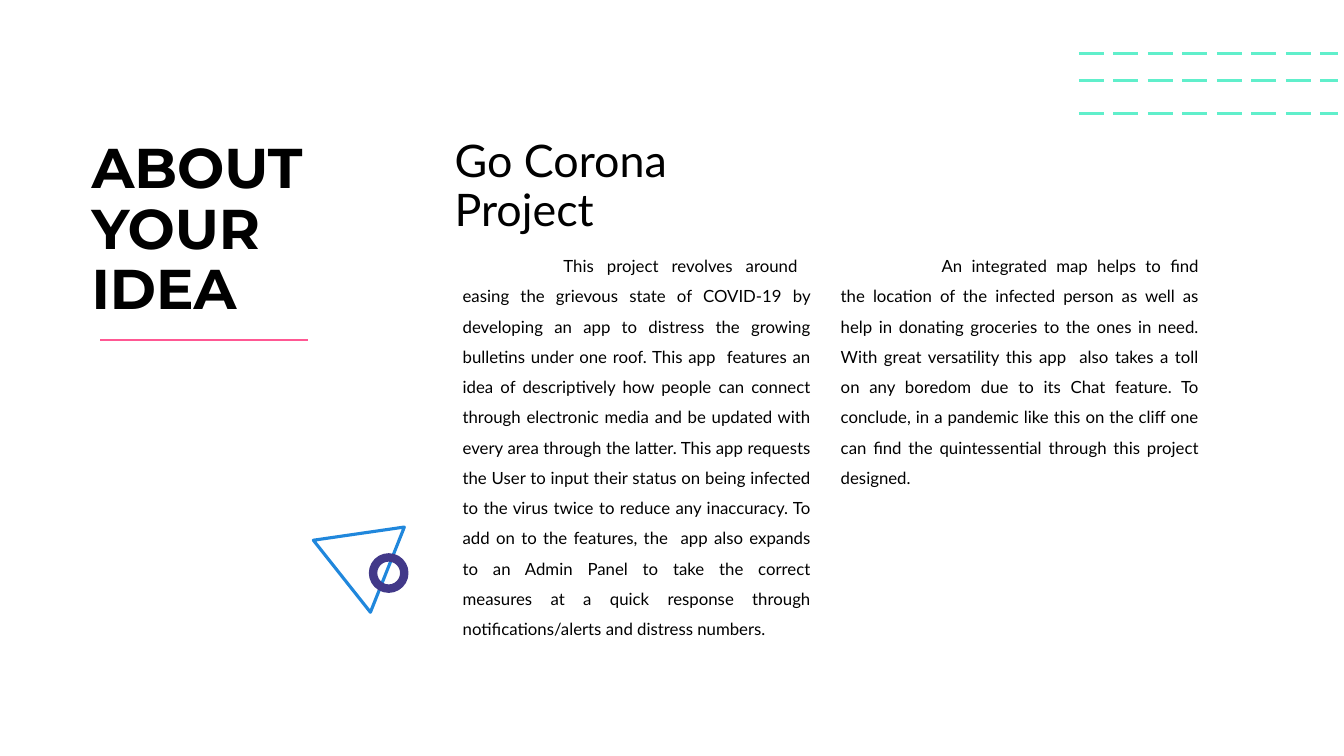
from pptx import Presentation
from pptx.dml.color import RGBColor
from pptx.enum.dml import MSO_LINE
from pptx.enum.shapes import MSO_CONNECTOR, MSO_SHAPE
from pptx.enum.text import MSO_ANCHOR, MSO_AUTO_SIZE, PP_ALIGN
from pptx.oxml.ns import qn
from pptx.util import Pt
from lxml import etree

PX = 9144
FIRST_LINE_INDENT = 100
THEME = {
    "ink": RGBColor.from_string("000000"),
    "pink": RGBColor.from_string("FF5893"),
    "mint": RGBColor.from_string("60EFCB"),
    "blue": RGBColor.from_string("2087DC"),
    "purple": RGBColor.from_string("423989"),
    "heading_font": "Montserrat",
    "body_font": "Lato",
    "heading_size": Pt(40),
    "subtitle_size": Pt(32),
    "body_size": Pt(12),
}

presentation = Presentation()
presentation.slide_width = 1333 * PX
presentation.slide_height = 750 * PX
slide = presentation.slides.add_slide(presentation.slide_layouts[6])


def add_text(box, lines, style, align, spacing=None, bold=False):
    text_box = slide.shapes.add_textbox(*(length * PX for length in box))
    frame = text_box.text_frame
    frame.word_wrap = True
    frame.text = "\n".join(lines)
    for paragraph in frame.paragraphs:
        paragraph.alignment = align
        paragraph.line_spacing = spacing
        paragraph.font.name = THEME["heading_font" if style == "heading" else "body_font"]
        paragraph.font.size = THEME[f"{style}_size"]
        paragraph.font.bold = bold
        paragraph.font.color.rgb = THEME["ink"]
    return frame


def add_line(left, right, y, color, width):
    connector = slide.shapes.add_connector(
        MSO_CONNECTOR.STRAIGHT, left * PX, y * PX, right * PX, y * PX
    )
    connector.line.color.rgb = THEME[color]
    connector.line.width = Pt(width)
    etree.SubElement(connector._element.spPr, qn("a:effectLst"))
    return connector


for row, word in enumerate(["ABOUT", "YOUR", "IDEA"]):
    frame = add_text(
        (81, 127 + 60 * row, 340, 77), [word], "heading", PP_ALIGN.JUSTIFY, bold=True
    )
    frame.auto_size = MSO_AUTO_SIZE.SHAPE_TO_FIT_TEXT

subtitle = add_text(
    (441, 113, 474, 126), ["Go Corona", "Project"], "subtitle", PP_ALIGN.LEFT, 0.9
)
subtitle.vertical_anchor = MSO_ANCHOR.BOTTOM

columns = [
    (
        (449, 239, 365, 434),
        "This project revolves around  easing the grievous state of COVID-19 by "
        "developing an app to distress the growing bulletins under one roof. This app  "
        "features an idea of descriptively how people can connect through electronic "
        "media and be updated with every area through the latter. This app requests the "
        "User to input their status on being infected to the virus twice to reduce any "
        "inaccuracy. To add on to the features, the  app also expands to an Admin Panel "
        "to take the correct measures at a quick response through notifications/alerts "
        "and distress numbers.",
    ),
    (
        (824, 239, 375, 252),
        "An integrated map helps to find the location of the infected person as well "
        "as help in donating groceries to the ones in need. With great versatility this "
        "app  also takes a toll on any boredom due to its Chat feature. To conclude, in "
        "a pandemic like this on the cliff one can find the quintessential through this "
        "project designed.",
    ),
]
for box, text in columns:
    frame = add_text(box, [text], "body", PP_ALIGN.JUSTIFY, 1.5)
    frame.auto_size = MSO_AUTO_SIZE.SHAPE_TO_FIT_TEXT
    properties = frame.paragraphs[0]._p.get_or_add_pPr()
    properties.set("marL", "0")
    properties.set("indent", str(FIRST_LINE_INDENT * PX))

add_line(305, 99, 337, "pink", 1.5)
for y in (53, 80, 113):
    add_line(1070, 1327, y, "mint", 2.25).line.dash_style = MSO_LINE.LONG_DASH

ornaments = [
    (MSO_SHAPE.ISOSCELES_TRIANGLE, (302, 511, 91, 79), 291.7, "blue", 2.25),
    (MSO_SHAPE.OVAL, (370, 553, 31, 31), 0, "purple", 6),
]
for kind, box, rotation, color, width in ornaments:
    shape = slide.shapes.add_shape(kind, *(length * PX for length in box))
    shape.rotation = rotation
    shape.shadow.inherit = False
    shape.fill.background()
    shape.line.color.rgb = THEME[color]
    shape.line.width = Pt(width)

presentation.save("out.pptx")
